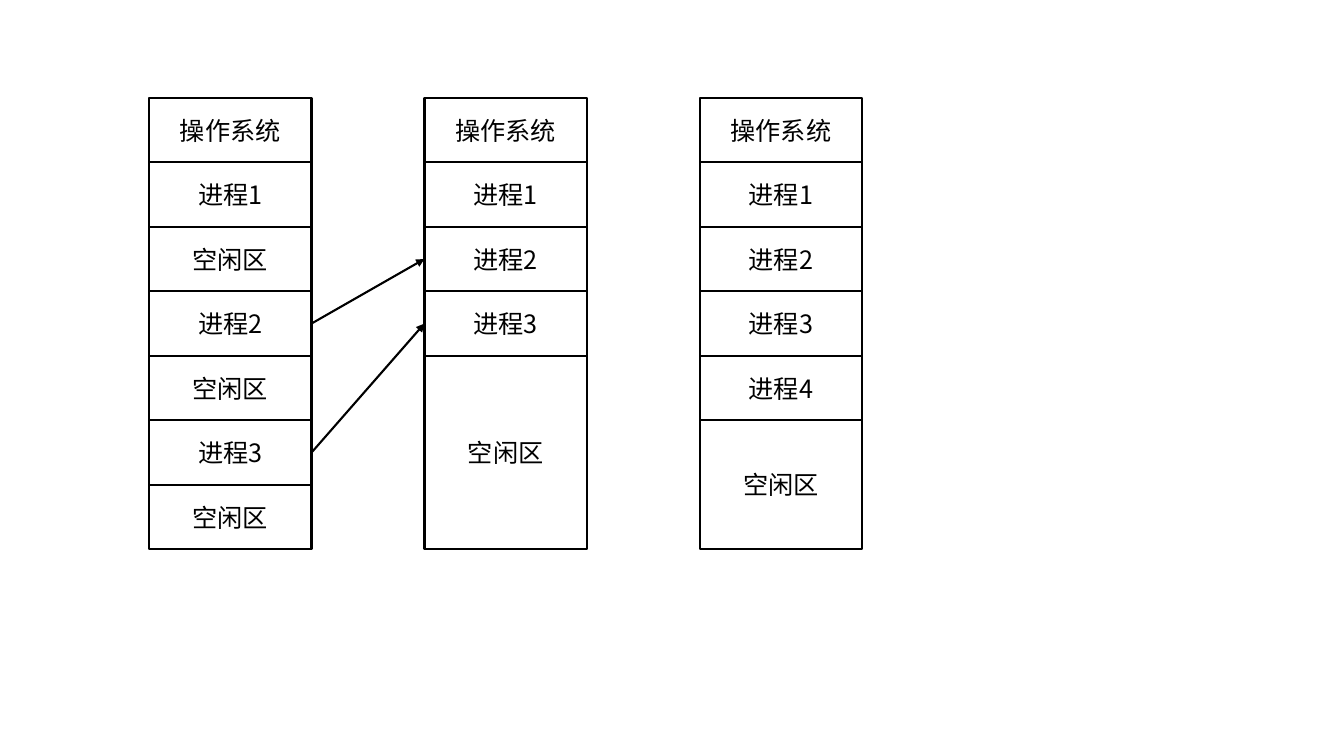
"""Build a slide showing memory compaction as three columns of partitions."""
from lxml.etree import SubElement
from pptx import Presentation
from pptx.dml.color import RGBColor
from pptx.enum.shapes import MSO_CONNECTOR, MSO_SHAPE
from pptx.enum.text import MSO_ANCHOR, PP_ALIGN
from pptx.oxml.ns import qn
from pptx.util import Inches, Pt

COLUMNS = [
    [("操作系统", 1), ("进程1", 1), ("空闲区", 1), ("进程2", 1),
     ("空闲区", 1), ("进程3", 1), ("空闲区", 1)],
    [("操作系统", 1), ("进程1", 1), ("进程2", 1), ("进程3", 1), ("空闲区", 3)],
    [("操作系统", 1), ("进程1", 1), ("进程2", 1), ("进程3", 1),
     ("进程4", 1), ("空闲区", 2)],
]
MOVES = [(3, 2), (5, 3)]
COLORS = {"ink": "000000"}
FONT = "Noto Sans CJK SC"
LEFT, TOP = 1.48, 0.97
PITCH, WIDTH, ROW = 2.73, 1.61, 0.64
INK = RGBColor.from_string(COLORS["ink"])


def style_line(line):
    line.color.rgb = INK
    line.width = Pt(1.5)


def add_block(s, x, y, h, text):
    sp = s.shapes.add_shape(MSO_SHAPE.RECTANGLE, Inches(x), Inches(y),
                            Inches(WIDTH), Inches(h))
    sp.shadow.inherit = False
    sp.fill.background()
    style_line(sp.line)
    tf = sp.text_frame
    tf.word_wrap = True
    tf.vertical_anchor = MSO_ANCHOR.MIDDLE
    p = tf.paragraphs[0]
    p.alignment = PP_ALIGN.CENTER
    r = p.add_run()
    r.text = text
    r.font.size = Pt(18)
    r.font.name = FONT
    r.font.color.rgb = INK
    SubElement(r.font._element, qn("a:ea")).set("typeface", FONT)


def add_arrow(s, start, end):
    y1, y2 = (TOP + (row + 0.5) * ROW for row in (start, end))
    c = s.shapes.add_connector(MSO_CONNECTOR.STRAIGHT, Inches(LEFT + WIDTH),
                               Inches(y1), Inches(LEFT + PITCH), Inches(y2))
    style_line(c.line)
    SubElement(c.line._get_or_add_ln(), qn("a:tailEnd")).set("type", "triangle")
    SubElement(c._element.spPr, qn("a:effectLst"))


def main():
    prs = Presentation()
    prs.slide_width, prs.slide_height = Inches(13.33), Inches(7.5)
    s = prs.slides.add_slide(prs.slide_layouts[6])
    for col, blocks in enumerate(COLUMNS):
        row = 0
        for text, rows in blocks:
            add_block(s, LEFT + col * PITCH, TOP + row * ROW, rows * ROW, text)
            row += rows
    for start, end in MOVES:
        add_arrow(s, start, end)
    prs.save("out.pptx")


if __name__ == "__main__":
    main()
